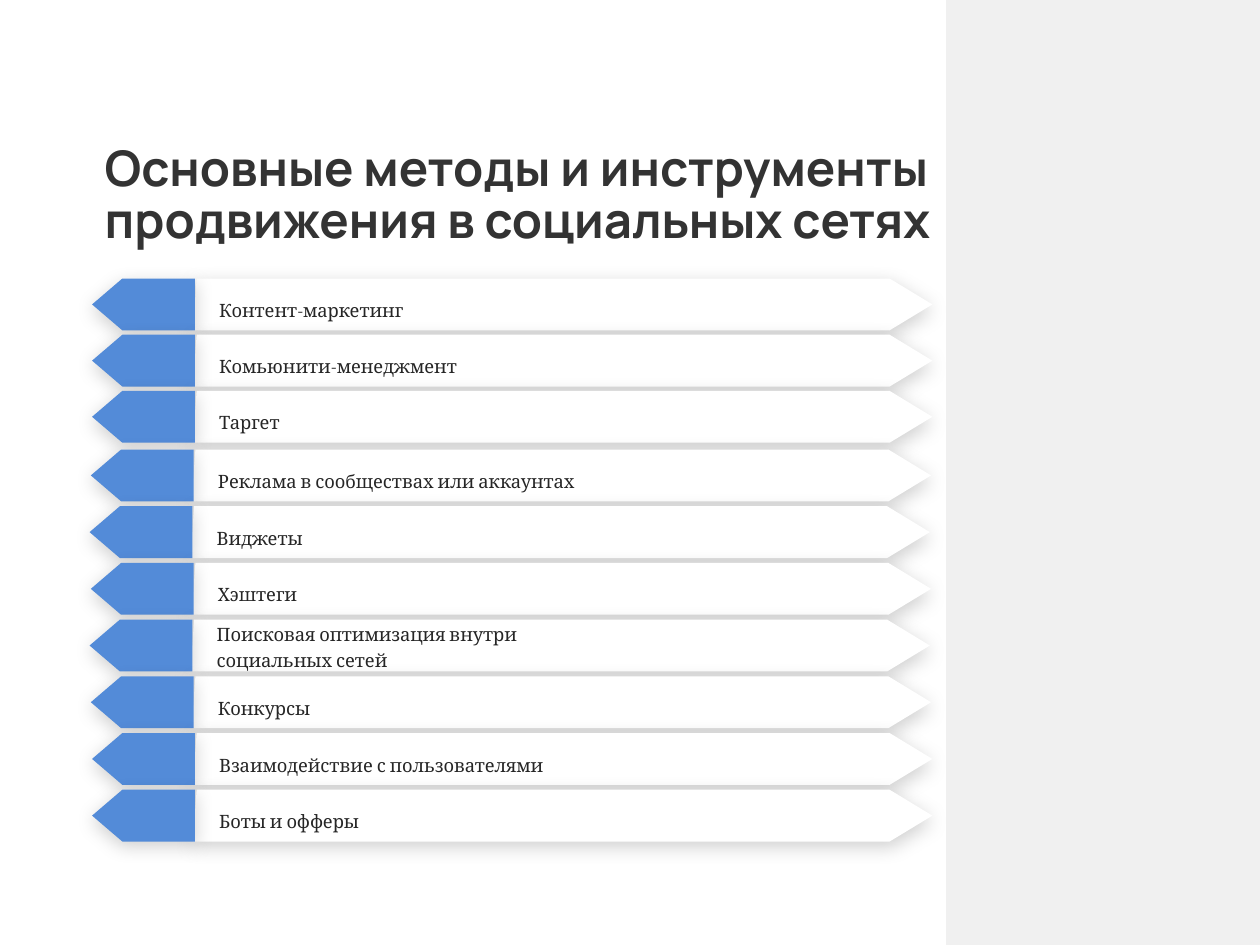
from dataclasses import dataclass

from lxml.etree import SubElement
from pptx import Presentation
from pptx.dml.color import RGBColor as Rgb
from pptx.enum.shapes import MSO_SHAPE as Shape
from pptx.enum.text import MSO_ANCHOR as Anchor, MSO_AUTO_SIZE as AutoSize, PP_ALIGN as Align
from pptx.oxml.ns import qn
from pptx.util import Pt


@dataclass(frozen=True)
class Theme:
    band: Rgb = Rgb(0xFF, 0xFF, 0xFF)
    tag: Rgb = Rgb(0x53, 0x8B, 0xD8)
    black: Rgb = Rgb(0, 0, 0)
    title: Rgb = Rgb(0x33, 0x33, 0x33)
    label: Rgb = Rgb(0x26, 0x26, 0x26)
    title_font: str = "Manrope"
    label_font: str = "Cambria"
    title_size: float = 28
    label_size: float = 10.5


TITLE = "Основные методы и инструменты продвижения в социальных сетях"

# Label and left edge of each row
METHODS = [
    ("Контент-маркетинг", 52.6),
    ("Комьюнити-менеджмент", 52.6),
    ("Таргет", 52.6),
    ("Реклама в сообществах или аккаунтах", 51.9),
    ("Виджеты", 51.2),
    ("Хэштеги", 51.9),
    ("Поисковая оптимизация внутри социальных сетей", 51.2),
    ("Конкурсы", 51.9),
    ("Взаимодействие с пользователями", 52.6),
    ("Боты и офферы", 52.6),
]
LONG_LABEL = 40  # longer labels take two lines

# Outlines relative to the top left corner of a row
ROW_HEIGHT = 29.6
MIDDLE = ROW_HEIGHT / 2
BAND = [(59.8, 0), (455.8, 0), (480.2, MIDDLE), (455.8, ROW_HEIGHT), (57.6, ROW_HEIGHT)]
TAG = [(17.3, 0), (58.7, 0), (58.7, ROW_HEIGHT), (17.3, ROW_HEIGHT), (0, MIDDLE)]


class SlideBuilder:
    def __init__(self, slide, theme):
        self.slide = slide
        self.theme = theme

    def place(self, shape, left, top, width, height):
        shape.left, shape.top = Pt(left), Pt(top)
        shape.width, shape.height = Pt(width), Pt(height)

    def set_text(self, frame, text, font, size, color, spacing, bold=False):
        frame.text = text
        frame.word_wrap = True
        frame.auto_size = AutoSize.NONE
        para = frame.paragraphs[0]
        para.alignment = Align.LEFT
        para.line_spacing = spacing
        style = para.runs[0].font
        style.name, style.size, style.bold = font, Pt(size), bold
        style.color.rgb = color

    def title(self, text, left, top, width, height):
        box = self.slide.shapes.title
        self.place(box, left, top, width, height)
        box.text_frame.vertical_anchor = Anchor.TOP
        theme = self.theme
        self.set_text(box.text_frame, text, theme.title_font, theme.title_size,
                      theme.title, 0.9, bold=True)

    def label(self, text, left, top, width, height):
        box = self.slide.shapes.add_textbox(Pt(left), Pt(top), Pt(width), Pt(height))
        box.text_frame.vertical_anchor = Anchor.MIDDLE
        theme = self.theme
        self.set_text(box.text_frame, text, theme.label_font, theme.label_size,
                      theme.label, 1.17)

    def side_panel(self, left, width, height):
        panel = self.slide.shapes.add_shape(
            Shape.RECTANGLE, Pt(left), 0, Pt(width), Pt(height))
        panel.shadow.inherit = False
        panel.line.fill.background()
        panel.fill.solid()
        panel.fill.fore_color.rgb = self.theme.black
        color = panel._element.spPr.find(qn("a:solidFill")).find(qn("a:srgbClr"))
        SubElement(color, qn("a:alpha"), val="6000")

    def outline(self, points, left, top, color):
        corners = [(Pt(left + x), Pt(top + y)) for x, y in points]
        builder = self.slide.shapes.build_freeform(*corners[0])
        builder.add_line_segments(corners[1:], close=True)
        shape = builder.convert_to_shape()
        shape.fill.solid()
        shape.fill.fore_color.rgb = color
        shape.line.fill.background()
        self.soft_shadow(shape)

    def soft_shadow(self, shape):
        shape.shadow.inherit = False
        effects = shape._element.spPr.find(qn("a:effectLst"))
        shadow = SubElement(effects, qn("a:outerShdw"), blurRad=str(Pt(11)),
                            dist=str(Pt(3)), dir="5400000", algn="t", rotWithShape="0")
        color = SubElement(shadow, qn("a:srgbClr"), val=str(self.theme.black))
        SubElement(color, qn("a:alpha"), val="18000")

    def method_row(self, text, left, top):
        self.outline(BAND, left, top, self.theme.band)
        self.outline(TAG, left, top, self.theme.tag)
        label_drop = 2.2 if len(text) > LONG_LABEL else 4.4
        self.label(text, left + 65.6, top + label_drop, 237.6, 25.2)


def row_top(index):
    """Rows come in two evenly spaced groups: the first three, then the rest."""
    return 159.2 + 32.1 * index if index < 3 else 256.9 + 32.4 * (index - 3)


def main():
    deck = Presentation()
    deck.slide_width, deck.slide_height = Pt(720), Pt(540)
    title_only = deck.slide_layouts[5]
    page = SlideBuilder(deck.slides.add_slide(title_only), Theme())
    page.side_panel(540.6, 179.4, 540)
    page.title(TITLE, 52.6, 78.5, 611.3, 44.6)
    for index, (text, left) in enumerate(METHODS):
        page.method_row(text, left, row_top(index))
    deck.save("out.pptx")


if __name__ == "__main__":
    main()
